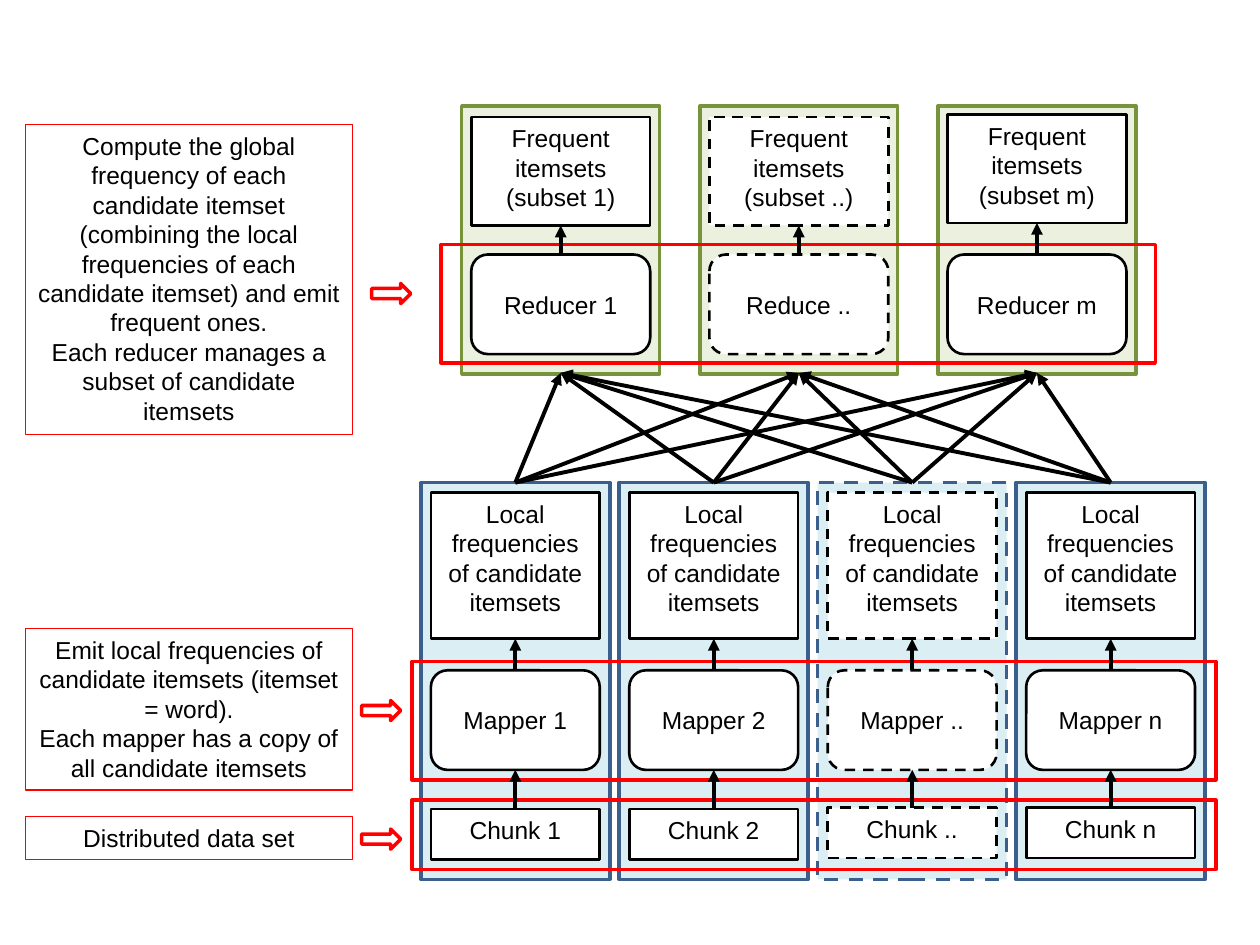
from dataclasses import dataclass
from itertools import product

from lxml.etree import SubElement
from pptx import Presentation
from pptx.dml.color import RGBColor
from pptx.enum.dml import MSO_LINE
from pptx.enum.shapes import MSO_CONNECTOR, MSO_SHAPE
from pptx.enum.text import MSO_ANCHOR, PP_ALIGN
from pptx.oxml.ns import qn
from pptx.util import Inches, Pt


@dataclass(frozen=True)
class Theme:
    font: str = "Arial"
    size: float = 14
    black: str = "000000"
    white: str = "FFFFFF"
    red: str = "FF0000"
    green: str = "77933C"
    pale_green: str = "EBF1DE"
    blue: str = "3A5F8C"
    pale_blue: str = "DBEEF4"
    thin: float = 0.75
    box: float = 1.5
    frame: float = 2
    arrow: float = 2.25


@dataclass(frozen=True)
class Area:
    left: float
    top: float
    width: float
    height: float


@dataclass(frozen=True)
class Mapper:
    name: str
    chunk_top: float = 6.42
    dashed: bool = False


@dataclass(frozen=True)
class Reducer:
    name: str
    subset: str
    top: float = 0.93
    dashed: bool = False


@dataclass(frozen=True)
class Note:
    top: float
    height: float
    lines: tuple[str, ...]
    arrow_left: float
    arrow_top: float


THEME = Theme()
MAPPERS = (
    Mapper("1"),
    Mapper("2"),
    Mapper("..", 6.41, True),
    Mapper("n", 6.41),
)
REDUCERS = (
    Reducer("Reducer 1", "1"),
    Reducer("Reduce ..", "..", dashed=True),
    Reducer("Reducer m", "m", 0.91),
)
NOTES = (
    Note(0.99, 2.46, (
        "Compute the global frequency of each candidate itemset (combining "
        "the local frequencies of each candidate itemset) and emit frequent ones.",
        "Each reducer manages a subset of candidate itemsets",
    ), 2.95, 2.25),
    Note(4.99, 1.28, (
        "Emit local frequencies of candidate itemsets (itemset = word).",
        "Each mapper has a copy of all candidate itemsets",
    ), 2.87, 5.56),
    Note(6.48, 0.34, ("Distributed data set",), 2.87, 6.58),
)
BANDS = (
    Area(3.5, 1.94, 5.67, 0.94),
    Area(3.27, 5.25, 6.38, 0.94),
    Area(3.27, 6.35, 6.38, 0.55),
)
MAP_X, MAP_STEP = 4.09, 1.575
RED_X, RED_STEP = 4.45, 1.89
MAP_TOP, RED_END = 3.83, 2.96

deck = Presentation()
deck.slide_width, deck.slide_height = Inches(10), Inches(7.5)
slide = deck.slides.add_slide(deck.slide_layouts[6])


def draw(area: Area, line: str, weight: float, fill: str | None = None,
         lines: tuple[str, ...] = (), kind: MSO_SHAPE = MSO_SHAPE.RECTANGLE,
         dashed: bool = False, anchor: MSO_ANCHOR = MSO_ANCHOR.TOP) -> None:
    shape = slide.shapes.add_shape(
        kind, Inches(area.left), Inches(area.top),
        Inches(area.width), Inches(area.height))
    shape.shadow.inherit = False
    if fill:
        shape.fill.solid()
        shape.fill.fore_color.rgb = RGBColor.from_string(fill)
    else:
        shape.fill.background()
    shape.line.color.rgb = RGBColor.from_string(line)
    shape.line.width = Pt(weight)
    if dashed:
        shape.line.dash_style = MSO_LINE.DASH
    frame = shape.text_frame
    frame.word_wrap = True
    frame.vertical_anchor = anchor
    for index, text in enumerate(lines):
        para = frame.add_paragraph() if index else frame.paragraphs[0]
        para.text = text
        para.alignment = PP_ALIGN.CENTER
        para.font.name = THEME.font
        para.font.size = Pt(THEME.size)
        para.font.color.rgb = RGBColor.from_string(THEME.black)


def column(mid: float, top: float, width: float, height: float) -> Area:
    return Area(mid - width / 2, top, width, height)


def box(area: Area, text: str, dashed: bool) -> None:
    draw(area, THEME.black, THEME.box, THEME.white, (text,), dashed=dashed)


def worker(area: Area, text: str, dashed: bool) -> None:
    draw(area, THEME.black, THEME.box, THEME.white, (text,),
         MSO_SHAPE.ROUNDED_RECTANGLE, dashed, MSO_ANCHOR.MIDDLE)


def arrow(x1: float, y1: float, x2: float, y2: float) -> None:
    link = slide.shapes.add_connector(
        MSO_CONNECTOR.STRAIGHT, Inches(x1), Inches(y1), Inches(x2), Inches(y2))
    link.line.color.rgb = RGBColor.from_string(THEME.black)
    link.line.width = Pt(THEME.arrow)
    SubElement(link.line._get_or_add_ln(), qn("a:tailEnd"), type="triangle")
    SubElement(link._element.spPr, qn("a:effectLst"))


map_mids = [MAP_X + MAP_STEP * i for i in range(len(MAPPERS))]
red_mids = [RED_X + RED_STEP * i for i in range(len(REDUCERS))]

for mid, item in zip(red_mids, REDUCERS):
    draw(column(mid, 0.84, 1.57, 2.13), THEME.green, THEME.frame, THEME.pale_green)
    box(column(mid, item.top, 1.42, 0.86),
        f"Frequent itemsets (subset {item.subset})", item.dashed)
    worker(column(mid, 2.02, 1.42, 0.79), item.name, item.dashed)

for mid, item in zip(map_mids, MAPPERS):
    draw(column(mid, MAP_TOP, 1.5, 3.15), THEME.blue, THEME.frame,
         THEME.pale_blue, dashed=item.dashed)
    box(column(mid, 3.91, 1.34, 1.16),
        "Local frequencies of candidate itemsets", item.dashed)
    worker(column(mid, 5.32, 1.34, 0.79), f"Mapper {item.name}", item.dashed)
    box(column(mid, item.chunk_top, 1.34, 0.4), f"Chunk {item.name}", item.dashed)

for band in BANDS:
    draw(band, THEME.red, THEME.frame)

for mid, item in zip(map_mids, MAPPERS):
    arrow(mid, item.chunk_top, mid, 6.11)
    arrow(mid, 5.32, mid, 5.07)
for mid, item in zip(red_mids, REDUCERS):
    arrow(mid, 2.02, mid, item.top + 0.86)
for start, end in product(map_mids, red_mids):
    arrow(start, MAP_TOP, end, RED_END)

for note in NOTES:
    draw(Area(note.arrow_left, note.arrow_top, 0.31, 0.16), THEME.red,
         THEME.frame, THEME.white, kind=MSO_SHAPE.RIGHT_ARROW)
    draw(Area(0.2, note.top, 2.6, note.height), THEME.red, THEME.thin,
         lines=note.lines)

deck.save("out.pptx")
